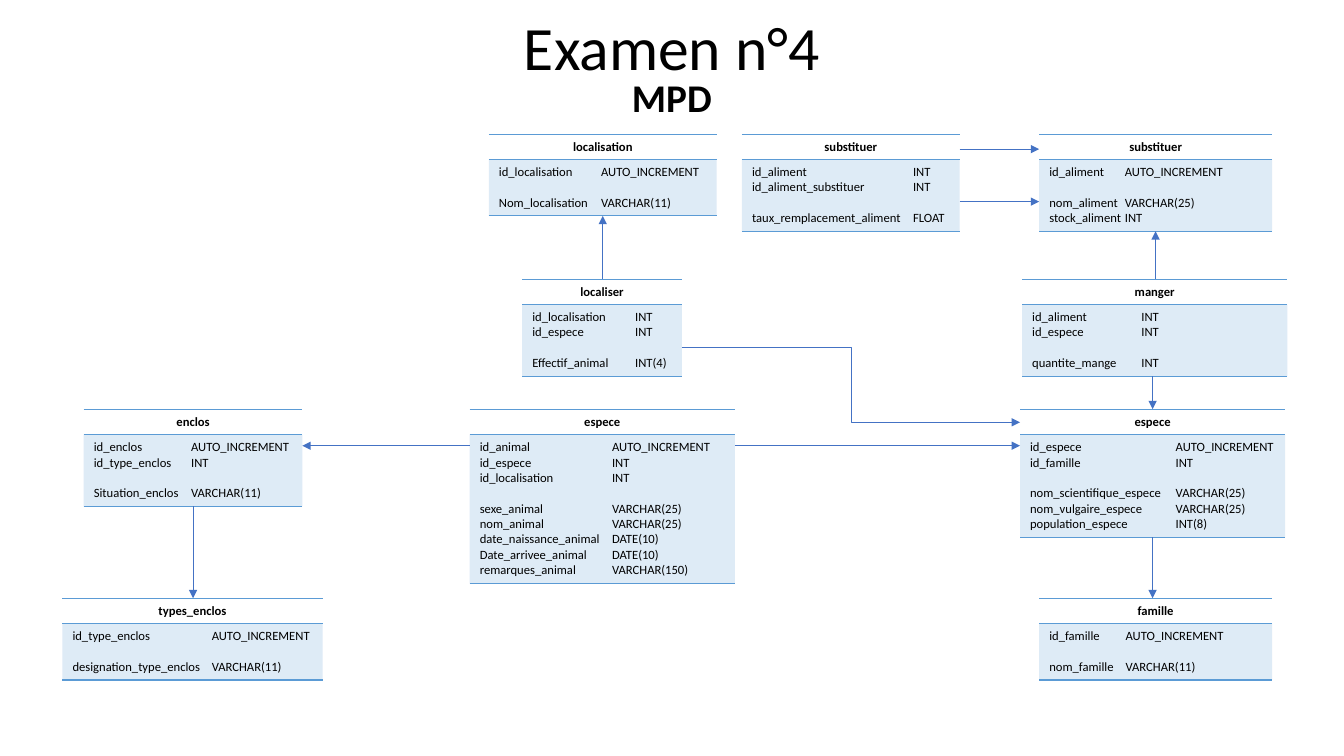
from lxml import etree
from pptx import Presentation
from pptx import util as u
from pptx.dml import color
from pptx.enum import shapes, text
from pptx.oxml import ns

FONT = "Calibri"
BLACK, TABLE_BLUE, ARROW_BLUE = "000000", "5B9BD5", "4472C4"
INSET = 3.6
LINE = 11
TOP, SECOND, THIRD, FOURTH = 95.8, 199.4, 292.3, 427.3
AUTO = "AUTO_INCREMENT"

# name: (title, left, top, width, type column, groups of (field, type))
ENTITIES = {
    "localisation": ("localisation", 349.2, TOP, 162.7, 73, [
        [("id_localisation", AUTO)],
        [("Nom_localisation", "VARCHAR(11)")]]),
    "localiser": ("localiser", 373, SECOND, 114, 73.5, [
        [("id_localisation", "INT"), ("id_espece", "INT")],
        [("Effectif_animal", "INT(4)")]]),
    "substituer": ("substituer", 530, TOP, 155.5, 115, [
        [("id_aliment", "INT"), ("id_aliment_substituer", "INT")],
        [("taux_remplacement_aliment", "FLOAT")]]),
    "aliment": ("substituer", 742.3, TOP, 166.3, 54, [
        [("id_aliment", AUTO)],
        [("nom_aliment", "VARCHAR(25)"), ("stock_aliment", "INT")]]),
    "manger": ("manger", 730.1, SECOND, 189.4, 78, [
        [("id_aliment", "INT"), ("id_espece", "INT")],
        [("quantite_mange", "INT")]]),
    "espece": ("espece", 728.6, THIRD, 189.4, 104, [
        [("id_espece", AUTO), ("id_famille", "INT")],
        [("nom_scientifique_espece", "VARCHAR(25)"),
         ("nom_vulgaire_espece", "VARCHAR(25)"),
         ("population_espece", "INT(8)")]]),
    "famille": ("famille", 742.3, FOURTH, 166.3, 54.5, [
        [("id_famille", AUTO)],
        [("nom_famille", "VARCHAR(11)")]]),
    "animal": ("espece", 335.5, THIRD, 189.4, 94.5, [
        [("id_animal", AUTO), ("id_espece", "INT"), ("id_localisation", "INT")],
        [("sexe_animal", "VARCHAR(25)"), ("nom_animal", "VARCHAR(25)"),
         ("date_naissance_animal", "DATE(10)"),
         ("Date_arrivee_animal", "DATE(10)"),
         ("remarques_animal", "VARCHAR(150)")]]),
    "enclos": ("enclos", 59.8, THIRD, 156.2, 69.5, [
        [("id_enclos", AUTO), ("id_type_enclos", "INT")],
        [("Situation_enclos", "VARCHAR(11)")]]),
    "types_enclos": ("types_enclos", 44.6, FOURTH, 185.8, 99.5, [
        [("id_type_enclos", AUTO)],
        [("designation_type_enclos", "VARCHAR(11)")]]),
}


def rgb(value):
    return color.RGBColor.from_string(value)


def add_element(parent, tag, **attributes):
    return etree.SubElement(parent, ns.qn(tag), attributes)


def format_text(paragraph, size, bold=False, centred=False):
    paragraph.font.name = FONT
    paragraph.font.size = u.Pt(size)
    paragraph.font.bold = bold
    paragraph.font.color.rgb = rgb(BLACK)
    paragraph.alignment = text.PP_ALIGN.CENTER if centred else text.PP_ALIGN.LEFT


def add_headings(slide):
    title = slide.shapes.title
    title.left, title.top = u.Pt(66), u.Pt(-15.8)
    title.width, title.height = u.Pt(828), u.Pt(104.4)
    title.text_frame.text = "Examen n°4"
    title.text_frame.vertical_anchor = text.MSO_ANCHOR.MIDDLE
    title.text_frame.paragraphs[0].line_spacing = 0.9
    format_text(title.text_frame.paragraphs[0], 44, centred=True)

    subtitle = slide.shapes.add_textbox(u.Pt(374.4), u.Pt(49), u.Pt(211), u.Pt(41))
    subtitle.text_frame.word_wrap = True
    subtitle.text_frame.text = "MPD"
    format_text(subtitle.text_frame.paragraphs[0], 28, bold=True, centred=True)


def set_borders(cell):
    """Rule the cell above and below only."""
    properties = cell._tc.get_or_add_tcPr()
    for side in ("a:lnL", "a:lnR"):
        add_element(add_element(properties, side), "a:noFill")
    for side in ("a:lnT", "a:lnB"):
        border = add_element(properties, side, w=str(u.Pt(1)))
        fill = add_element(border, "a:solidFill")
        add_element(fill, "a:srgbClr", val=TABLE_BLUE)


def fill_body(cell):
    cell.fill.solid()
    cell.fill.fore_color.rgb = rgb(TABLE_BLUE)
    tint = cell._tc.tcPr.find(".//" + ns.qn("a:solidFill") + "[last()]")
    tint = cell._tc.tcPr.find(ns.qn("a:solidFill")).find(ns.qn("a:srgbClr"))
    add_element(tint, "a:alpha", val="20000")


def write_fields(cell, groups, type_column):
    """Write one field a line, with its type at a tab stop and a gap between groups."""
    frame = cell.text_frame
    paragraph = None
    for group in groups:
        for index, field in enumerate(group):
            starts_group = paragraph is not None and index == 0
            paragraph = frame.add_paragraph() if paragraph else frame.paragraphs[0]
            paragraph.text = "\t".join(field)
            format_text(paragraph, 9)
            if starts_group:
                paragraph.space_before = u.Pt(LINE)
            tabs = add_element(paragraph._p.get_or_add_pPr(), "a:tabLst")
            add_element(tabs, "a:tab", pos=str(u.Pt(type_column)), algn="l")
            properties = paragraph._p.pPr
            defaults = properties.find(ns.qn("a:defRPr"))
            if defaults is not None:
                defaults.addprevious(tabs)


def add_entity(slide, title, left, top, width, type_column, groups):
    lines = sum(len(group) for group in groups) + len(groups) - 1
    heights = [LINE + 2 * INSET, LINE * lines + 2 * INSET]
    frame = slide.shapes.add_table(
        2, 1, u.Pt(left), u.Pt(top), u.Pt(width), u.Pt(sum(heights)))
    table = frame.table
    table.first_row = table.horz_banding = False
    for row, height in zip(table.rows, heights):
        row.height = u.Pt(height)
        set_borders(row.cells[0])
    header, body = table.cell(0, 0), table.cell(1, 0)
    header.fill.background()
    header.text_frame.text = title
    format_text(header.text_frame.paragraphs[0], 9, bold=True, centred=True)
    fill_body(body)
    write_fields(body, groups, type_column)
    return frame


def add_arrow(slide, start, end, kind=shapes.MSO_CONNECTOR.STRAIGHT):
    arrow = slide.shapes.add_connector(kind, *start, *end)
    arrow.line.color.rgb = rgb(ARROW_BLUE)
    arrow.line.width = u.Pt(0.5)
    add_element(arrow.line._get_or_add_ln(), "a:tailEnd", type="triangle")
    add_element(arrow._element.spPr, "a:effectLst")


def add_vertical_arrow(slide, source, target, axis):
    """Link facing edges of two tables along the centre line of axis."""
    x = axis.left + axis.width // 2
    if source.top < target.top:
        start, end = source.top + source.height, target.top
    else:
        start, end = source.top, target.top + target.height
    add_arrow(slide, (x, start), (x, end))


def add_side_arrow(slide, source, target, y, end_y=None):
    """Link facing sides of two tables, with an elbow if the heights differ."""
    if source.left < target.left:
        start, end = source.left + source.width, target.left
    else:
        start, end = source.left, target.left + target.width
    kind = shapes.MSO_CONNECTOR.ELBOW if end_y else shapes.MSO_CONNECTOR.STRAIGHT
    add_arrow(slide, (start, u.Pt(y)), (end, u.Pt(end_y or y)), kind)


def add_relations(slide, tables):
    for source, target, axis in [
            ("localiser", "localisation", "localisation"),
            ("manger", "aliment", "aliment"),
            ("manger", "espece", "espece"),
            ("espece", "famille", "espece"),
            ("enclos", "types_enclos", "enclos")]:
        add_vertical_arrow(slide, tables[source], tables[target], tables[axis])
    for source, target, *heights in [
            ("substituer", "aliment", 106.5),
            ("substituer", "aliment", 144),
            ("localiser", "espece", 248.4, 301.7),
            ("animal", "espece", 318.4),
            ("animal", "enclos", 318.4)]:
        add_side_arrow(slide, tables[source], tables[target], *heights)


def main():
    presentation = Presentation()
    presentation.slide_width, presentation.slide_height = u.Pt(960), u.Pt(540)
    slide = presentation.slides.add_slide(presentation.slide_layouts[5])
    add_headings(slide)
    tables = {name: add_entity(slide, *entity) for name, entity in ENTITIES.items()}
    add_relations(slide, tables)
    presentation.save("out.pptx")


if __name__ == "__main__":
    main()
